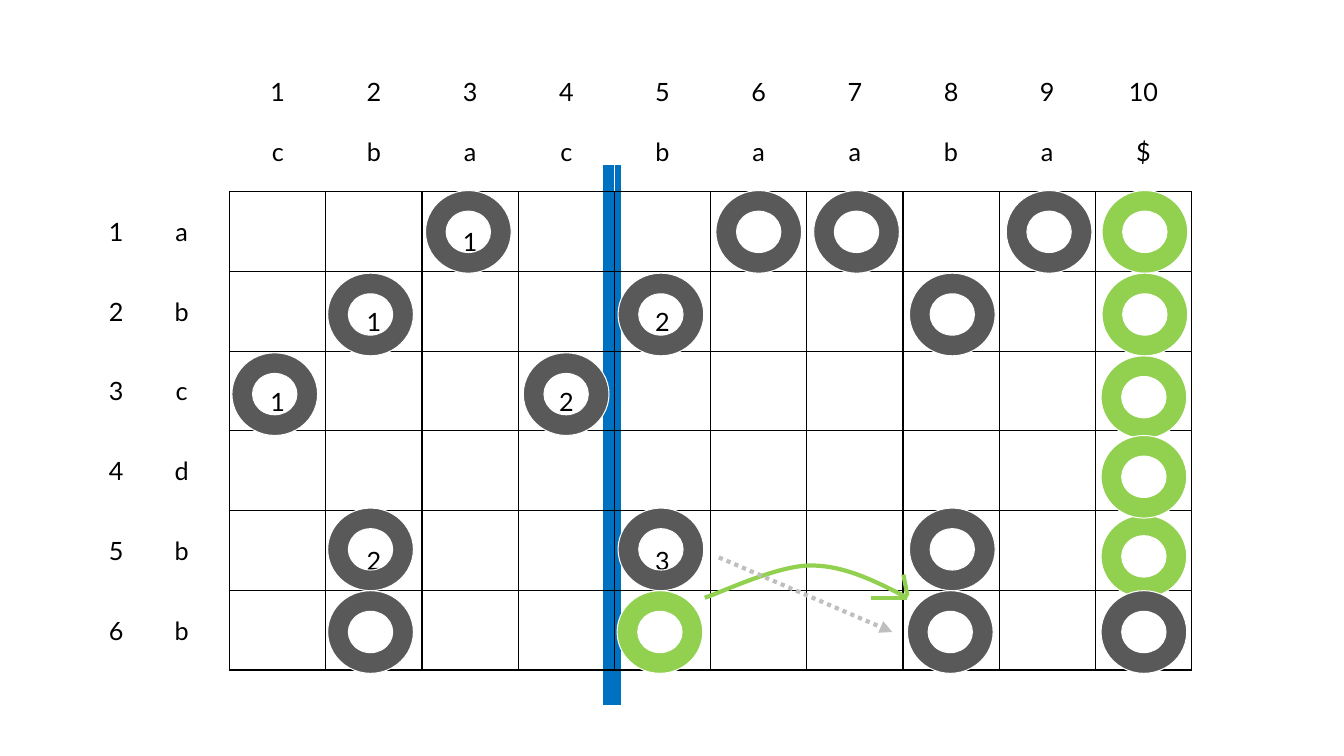
from lxml import etree
from pptx import Presentation
from pptx.dml.color import RGBColor
from pptx.enum.dml import MSO_LINE
from pptx.enum.shapes import MSO_CONNECTOR, MSO_SHAPE
from pptx.enum.text import MSO_ANCHOR, PP_ALIGN
from pptx.oxml.ns import qn
from pptx.util import Inches, Pt

STRAIGHT = MSO_CONNECTOR.STRAIGHT
DONUT, MINUS = MSO_SHAPE.DONUT, MSO_SHAPE.MATH_MINUS
TOP, MIDDLE, BOTTOM = MSO_ANCHOR.TOP, MSO_ANCHOR.MIDDLE, MSO_ANCHOR.BOTTOM
CENTER, RIGHT = PP_ALIGN.CENTER, PP_ALIGN.RIGHT
DOTS = MSO_LINE.ROUND_DOT

BLACK = RGBColor(0x00, 0x00, 0x00)
WHITE = RGBColor(0xFF, 0xFF, 0xFF)
BLUE = RGBColor(0x00, 0x70, 0xC0)
GRAY = RGBColor(0x59, 0x59, 0x59)
GREEN = RGBColor(0x92, 0xD0, 0x50)
SILVER = RGBColor(0xBF, 0xBF, 0xBF)

# Matrix content: column letters, row letters, counts by (row, column)
ACROSS = "cbacbaaba$"
DOWN = "abcdbb"
COUNTS = {(1, 3): 1, (2, 2): 1, (2, 5): 2, (3, 1): 1, (3, 4): 2,
          (5, 2): 2, (5, 5): 3}

# Rings from back to front: top, colour, left edges
RINGS = [
    (1.89, GRAY, [4.22, 7.1, 8.07, 9.98]),
    (2.71, GRAY, [3.25, 6.13, 9.02]),
    (3.5, GRAY, [2.3, 5.19]),
    (5.04, GRAY, [3.25, 6.13, 9.02]),
    (1.89, GREEN, [10.93]),
    (3.53, GREEN, [10.92]),
    (2.71, GREEN, [10.93]),
    (5.11, GREEN, [10.92]),
    (5.86, GREEN, [6.12]),
    (5.86, GRAY, [3.25, 9, 10.92]),
    (4.32, GREEN, [10.92]),
]

# Curve: start, then two Bezier segments of three points each
CURVE = [(9, 5.93), (8.69, 5.77), (8.38, 5.61), (8.04, 5.61),
         (7.71, 5.61), (7.17, 5.87), (6.99, 5.93)]


class Board:
    font = {"name": "Lato", "size": Pt(18), "bold": False}

    def __init__(self, slide):
        self.shapes = slide.shapes

    def shape(self, kind, left, top, width, height, fill, edge=None, turn=0):
        item = self.shapes.add_shape(
            kind, Inches(left), Inches(top), Inches(width), Inches(height))
        item.shadow.inherit = False
        item.rotation = turn
        item.fill.solid()
        item.fill.fore_color.rgb = fill
        if edge is None:
            item.line.fill.background()
        else:
            item.line.color.rgb = edge
            item.line.width = Pt(0.75)

    def grid(self, rows, cols, left, top, width, height):
        frame = self.shapes.add_table(
            rows, cols, Inches(left), Inches(top), Inches(width), Inches(height))
        table = frame.table
        table.first_row = table.horz_banding = False
        return table

    def cell(self, cell, text, align, anchor, edges, gap):
        cell.vertical_anchor = anchor
        for side, color in zip("LRTB", edges):
            line = etree.SubElement(
                cell._tc.get_or_add_tcPr(), qn("a:ln" + side), w=str(Pt(1)))
            fill = etree.SubElement(line, qn("a:solidFill"))
            etree.SubElement(fill, qn("a:srgbClr"), val=str(color))
        cell.fill.background()
        para = cell.text_frame.paragraphs[0]
        para.alignment = align
        para.line_spacing = gap
        if text:
            para.text = text
        for key, value in self.font.items():
            setattr(para.font, key, value)
        para.font.color.rgb = BLACK

    def line(self, start, end, color, home=None, dash=None, head=False):
        ends = [Inches(n) for n in (*start, *end)]
        item = (home or self.shapes).add_connector(STRAIGHT, *ends)
        item.line.color.rgb = color
        item.line.width = Pt(3)
        if dash:
            item.line.dash_style = dash
        if head:
            etree.SubElement(item.line._get_or_add_ln(),
                             qn("a:tailEnd"), type="triangle")
        etree.SubElement(item._element.spPr, qn("a:effectLst"))

    def curve(self, home, points, color):
        spots = [(Inches(x), Inches(y)) for x, y in points]
        draft = home.build_freeform(*spots[0])
        draft.add_line_segments(spots[1:], close=False)
        item = draft.convert_to_shape()
        item.shadow.inherit = False
        item.fill.background()
        item.line.color.rgb = color
        item.line.width = Pt(3)
        # Join each three straight steps into one Bezier segment
        steps = list(item._element.iter(qn("a:lnTo")))
        track = steps[0].getparent()
        for i in range(0, len(steps), 3):
            bend = etree.SubElement(track, qn("a:cubicBezTo"))
            for step in steps[i:i + 3]:
                bend.append(step[0])
                track.remove(step)


def matrix(board):
    rows, cols = len(DOWN) + 2, len(ACROSS) + 2
    table = board.grid(rows, cols, 0.37, 0.32, 11.45, 6.33)
    for r in range(rows):
        for c in range(cols):
            text, align, anchor, gap = "", CENTER, MIDDLE, 1.0
            edges = [WHITE] * 4
            if r < 2 and c < 2:
                pass
            elif r == 0:
                text, anchor = str(c - 1), BOTTOM
            elif r == 1:
                text, edges = ACROSS[c - 2], [WHITE, WHITE, WHITE, BLACK]
            elif c == 0:
                text, align = str(r - 1), RIGHT
            elif c == 1:
                text, edges = DOWN[r - 2], [WHITE, BLACK, WHITE, WHITE]
            else:
                text = str(COUNTS.get((r - 1, c - 1), ""))
                anchor, edges = TOP, [BLACK] * 4
                gap = 2.0 if text else 1.0
            board.cell(table.cell(r, c), text, align, anchor, edges, gap)


def main():
    deck = Presentation()
    deck.slide_width, deck.slide_height = Inches(13.33), Inches(7.5)
    board = Board(deck.slides.add_slide(deck.slide_layouts[6]))

    # Divider behind the matrix
    board.shape(MINUS, 2.43, 3.94, 7.28, 0.75, BLUE, turn=270)
    matrix(board)

    # Rings
    for top, color, lefts in RINGS:
        for left in lefts:
            board.shape(DONUT, left, top, 0.85, 0.82, color, WHITE)

    # Curved arrow
    group = board.shapes.add_group_shape().shapes
    board.curve(group, CURVE, GREEN)
    board.line((8.96, 5.7), (9, 5.91), GREEN, group)
    board.line((9, 5.93), (8.64, 5.93), GREEN, group)

    # Dotted arrow
    board.line((7.13, 5.53), (8.85, 6.27), SILVER, dash=DOTS, head=True)

    deck.save("out.pptx")


if __name__ == "__main__":
    main()
